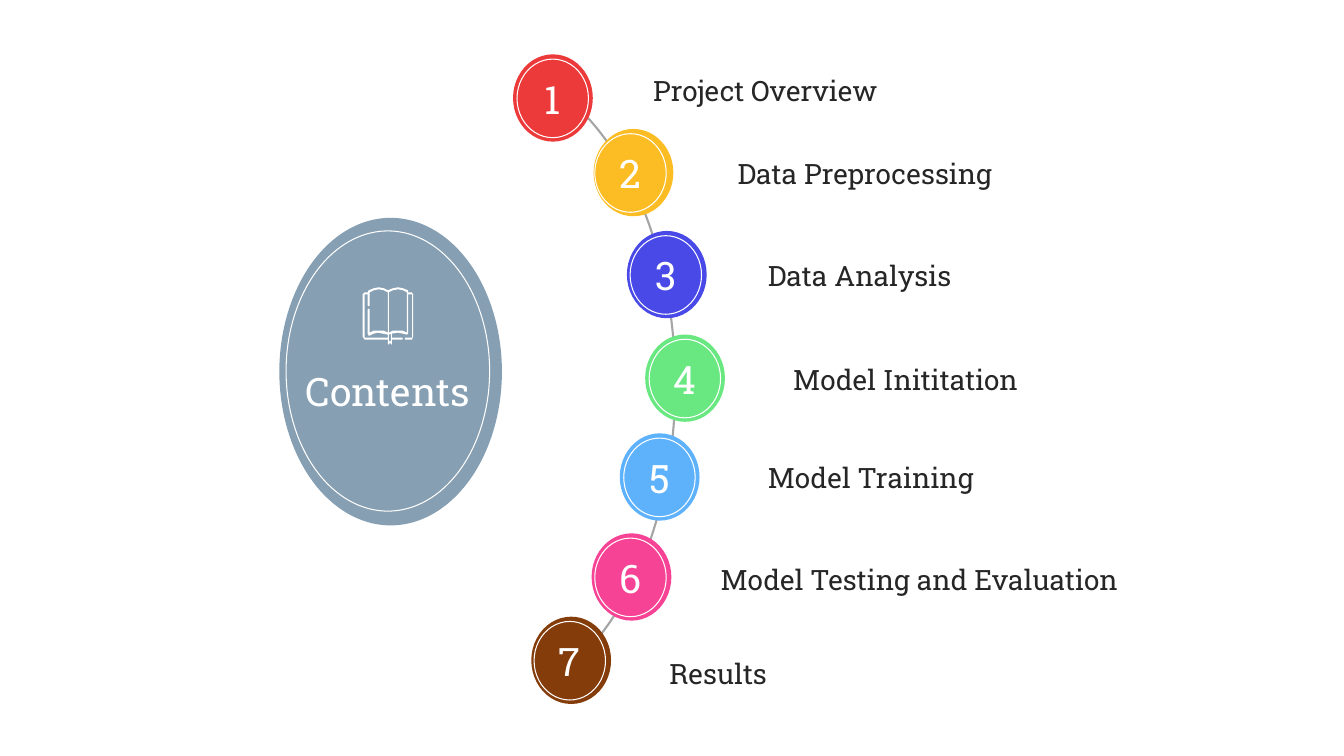
import pptx
import pptx.util
import pptx.dml.color
import pptx.enum.shapes
import pptx.enum.text

Cm = pptx.util.Cm
Pt = pptx.util.Pt
MSO_SHAPE = pptx.enum.shapes.MSO_SHAPE
PP_ALIGN = pptx.enum.text.PP_ALIGN

FONT = "Roboto Slab"
COLORS = {
    "white": "FFFFFF", "text": "262626", "arc": "A5A5A5", "contents": "869FB2",
    "red": "EC3A3B", "yellow": "FCBD24", "indigo": "4949E7", "green": "69E781",
    "blue": "5EB2FC", "pink": "F74395", "brown": "843C0B",
}

TITLE = "Contents"
CHAPTERS = [
    ("Project Overview", "red", (12.93, 1.37), 0.1, (16.13, 1.3, 11.02, 1.96)),
    ("Data Preprocessing", "yellow", (14.96, 3.25), 0.03, (18.26, 3.71, 7.54, 1.32)),
    ("Data Analysis", "indigo", (15.8, 5.82), 0.08, (19.02, 6.1, 11.61, 1.65)),
    ("Model Inititation", "green", (16.26, 8.43), 0.1, (19.66, 8.74, 11.61, 1.65)),
    ("Model Training", "blue", (15.62, 10.92), 0.1, (19.02, 11.28, 10.19, 1.5)),
    ("Model Testing and Evaluation", "pink", (14.91, 13.44), 0.08, (17.83, 13.84, 11.61, 1.5)),
    ("Results", "brown", (13.39, 15.54), 0.07, (16.54, 16.21, 9.65, 1.5)),
]
DISC_SIZE = (2.01, 2.2)
RING_SIZE = (1.8, 1.98)
RING_DROP = 0.12

ARC_BOX = (7.06, 1.6, 9.96, 16.15)
ARC_ANGLES = (167.287, 45.737)
CONTENTS_DISC = (7.04, 5.49, 5.61, 7.75)
CONTENTS_RING = (7.21, 5.82, 5.13, 7.06)

BOOK_ORIGIN = (9.14, 7.24)
BOOK_UNIT = 0.0254
BOOK_OUTLINES = [
    [(35, 0), (30, 1), (25, 3), (21, 1), (16, 0), (11, 1), (6, 3), (5, 5), (2, 5),
     (0, 7), (0, 49), (2, 52), (25, 52), (25, 56), (26, 57), (27, 55), (29, 57),
     (29, 52), (39, 52), (40, 51), (39, 50), (29, 50), (29, 46), (35, 45), (40, 46),
     (44, 47), (45, 46), (45, 7), (49, 7), (49, 50), (42, 50), (42, 52), (49, 52),
     (50, 49), (50, 7), (49, 5), (45, 5), (45, 3), (40, 1)],
    [(35, 2), (40, 3), (44, 5), (44, 45), (40, 43), (35, 43), (30, 43), (26, 45),
     (26, 5), (30, 3)],
    [(16, 2), (21, 3), (25, 5), (25, 45), (21, 43), (16, 43), (11, 43), (7, 45),
     (7, 22), (6, 21), (5, 22), (5, 46), (6, 48), (7, 48), (11, 46), (15, 45),
     (20, 46), (25, 47), (25, 50), (2, 50), (2, 7), (5, 7), (5, 18), (6, 19),
     (7, 18), (7, 5), (11, 3)],
    [(28, 46), (28, 54), (27, 53), (26, 54), (26, 47)],
]


def color(name):
    return pptx.dml.color.RGBColor.from_string(COLORS[name])


def style(shape, fill=None, line=None, width=0.75):
    shape.shadow.inherit = False
    if fill:
        shape.fill.solid()
        shape.fill.fore_color.rgb = color(fill)
    else:
        shape.fill.background()
    if line:
        shape.line.color.rgb = color(line)
        shape.line.width = Pt(width)
    else:
        shape.line.fill.background()


def add_preset(slide, kind, box, **look):
    shape = slide.shapes.add_shape(kind, *map(Cm, box))
    style(shape, **look)
    return shape


def write(shape, text, size, ink, align, insets, wrap):
    frame = shape.text_frame
    frame.word_wrap = wrap
    frame.vertical_anchor = pptx.enum.text.MSO_ANCHOR.MIDDLE
    frame.margin_left, frame.margin_top, frame.margin_right, frame.margin_bottom = map(Cm, insets)
    paragraph = frame.paragraphs[0]
    paragraph.alignment = align
    run = paragraph.add_run()
    run.text = text
    run.font.name = FONT
    run.font.size = Pt(size)
    run.font.color.rgb = color(ink)


def add_badge(slide, disc_box, ring_box, fill, text, top_inset=0):
    add_preset(slide, MSO_SHAPE.OVAL, disc_box, fill=fill)
    ring = add_preset(slide, MSO_SHAPE.OVAL, ring_box, line="white")
    write(ring, text, 28, "white", PP_ALIGN.CENTER, (0, top_inset, 0, 0), False)


def add_book(slide):
    first, *others = BOOK_OUTLINES
    builder = slide.shapes.build_freeform(*first[0], scale=Cm(BOOK_UNIT))
    builder.add_line_segments(first[1:], close=True)
    for outline in others:
        builder.move_to(*outline[0])
        builder.add_line_segments(outline[1:], close=True)
    style(builder.convert_to_shape(*map(Cm, BOOK_ORIGIN)), fill="white")


def main():
    presentation = pptx.Presentation()
    presentation.slide_width = Cm(33.87)
    presentation.slide_height = Cm(19.05)
    slide = presentation.slides.add_slide(presentation.slide_layouts[6])

    arc = add_preset(slide, MSO_SHAPE.ARC, ARC_BOX, line="arc", width=1.5)
    arc.adjustments[0], arc.adjustments[1] = ARC_ANGLES
    add_badge(slide, CONTENTS_DISC, CONTENTS_RING, "contents", TITLE, 1.02)
    add_book(slide)

    for number, (label, fill, (left, top), shift, label_box) in enumerate(CHAPTERS, 1):
        ring_box = (left + shift, top + RING_DROP, *RING_SIZE)
        add_badge(slide, (left, top, *DISC_SIZE), ring_box, fill, str(number))
        text_box = slide.shapes.add_textbox(*map(Cm, label_box))
        write(text_box, label, 20, "text", PP_ALIGN.LEFT, (0.33,) * 4, True)

    presentation.save("out.pptx")


if __name__ == "__main__":
    main()
